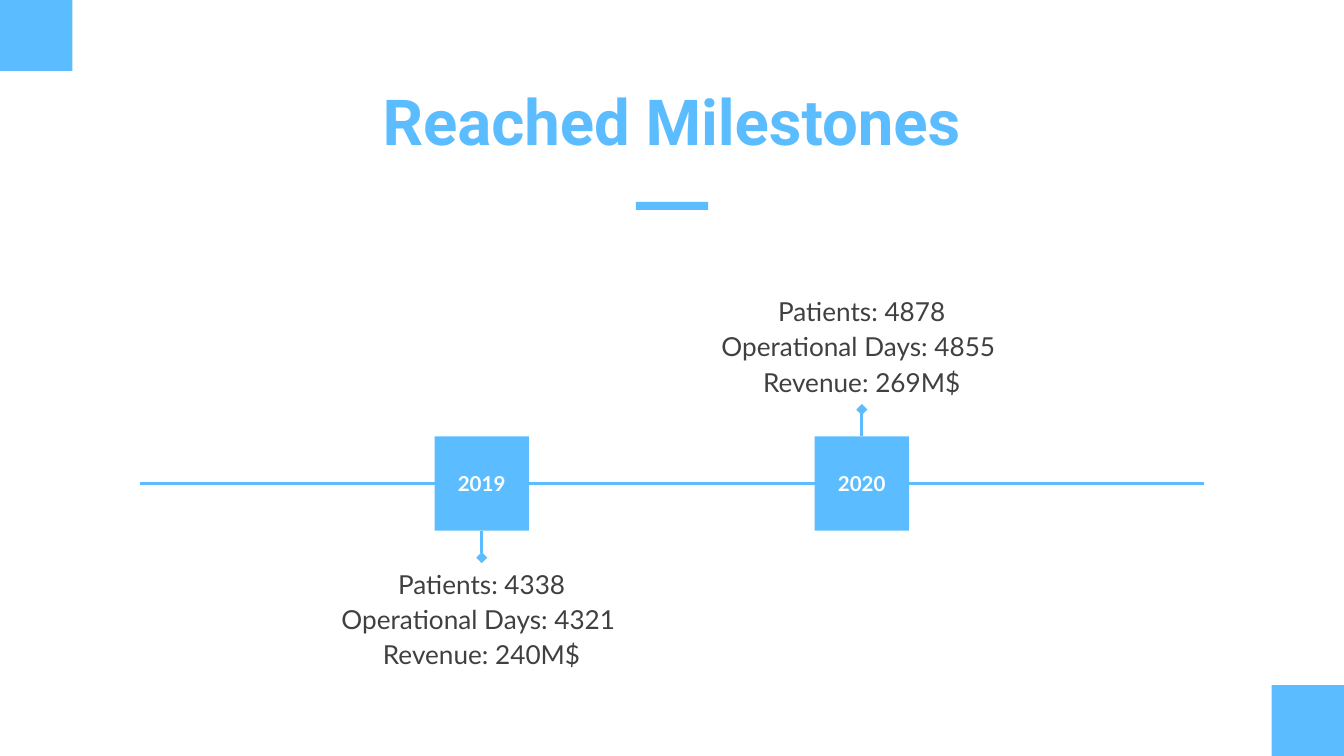
from dataclasses import dataclass

from lxml import etree
from pptx import Presentation
from pptx import util as u
from pptx.dml.color import RGBColor
from pptx.enum import shapes, text
from pptx.oxml import ns


@dataclass(frozen=True)
class Theme:
    blue: str = "5BBDFF"
    gray: str = "404040"
    white: str = "FFFFFF"
    head: str = "Roboto"
    body: str = "Lato"
    title: float = 34
    note: float = 14
    year: float = 11
    line: float = 1.5


class Deck:
    def __init__(self, theme, width, height):
        self.theme = theme
        self.prs = Presentation()
        self.prs.slide_width, self.prs.slide_height = u.Pt(width), u.Pt(height)
        self.slide = self.prs.slides.add_slide(self.prs.slide_layouts[6])

    def fill(self, frame, lines, size, font, color, bold=False, pad=0, gap=0,
             anchor=text.MSO_ANCHOR.TOP):
        sides = {f"margin_{side}": u.Pt(pad) for side in ("left", "top", "right", "bottom")}
        for key, value in {**sides, "word_wrap": True, "vertical_anchor": anchor}.items():
            setattr(frame, key, value)
        look = {"size": u.Pt(size), "name": font, "bold": bold}
        for i, line in enumerate(lines):
            para = frame.add_paragraph() if i else frame.paragraphs[0]
            para.alignment = text.PP_ALIGN.CENTER
            if i:
                para.space_before = u.Pt(gap)
            run = para.add_run()
            run.text = line
            for key, value in look.items():
                setattr(run.font, key, value)
            run.font.color.rgb = RGBColor.from_string(color)

    def label(self, box, lines, **look):
        shape = self.slide.shapes.add_textbox(*map(u.Pt, box))
        self.fill(shape.text_frame, lines, **look)

    def block(self, *box):
        shape = self.slide.shapes.add_shape(shapes.MSO_SHAPE.RECTANGLE, *map(u.Pt, box))
        shape.shadow.inherit = False
        shape.fill.solid()
        shape.fill.fore_color.rgb = RGBColor.from_string(self.theme.blue)
        shape.line.fill.background()
        return shape

    def rule(self, *ends, tail=None):
        line = self.slide.shapes.add_connector(shapes.MSO_CONNECTOR.STRAIGHT, *map(u.Pt, ends))
        line.line.color.rgb = RGBColor.from_string(self.theme.blue)
        line.line.width = u.Pt(self.theme.line)
        props = line.element.spPr
        if tail:
            etree.SubElement(props.find(ns.qn("a:ln")), ns.qn("a:tailEnd"), type=tail)
        etree.SubElement(props, ns.qn("a:effectLst"))


def main():
    wide, high = 720, 405
    theme = Theme()
    deck = Deck(theme, wide, high)

    # Corner squares
    side, tall = 38.8, 38
    deck.block(0, 0, side, tall)
    deck.block(wide - side, high - tall, side, tall)

    # Title and accent bar
    deck.label((66.3, 36.7, 587, 45.4), ["Reached Milestones"], size=theme.title,
               font=theme.head, color=theme.blue, bold=True, pad=7.2)
    deck.block(340.6, 108.2, 38.8, 4.3)

    # Time axis
    axis, edge = 259.1, 75
    deck.rule(edge, axis, wide - edge, axis)

    # Milestones: year square, stem, figures; way is 1 below the axis, -1 above
    half, stem, note = 25.25, 14.4, 158.4
    stones = [
        ("2019", 258.1, 1, 304.6, (4338, 4321, 240)),
        ("2020", 461.7, -1, 158.4, (4878, 4855, 269)),
    ]
    for year, mid, way, top, (sick, days, cash) in stones:
        square = deck.block(mid - half, axis - half, 2 * half, 2 * half)
        deck.fill(square.text_frame, [year], size=theme.year, font=theme.body,
                  color=theme.white, bold=True, anchor=text.MSO_ANCHOR.MIDDLE)
        start = axis + way * half
        deck.rule(mid, start, mid, start + way * stem, tail="diamond")
        lines = [f"Patients: {sick}", f"Operational Days: {days} ", f"Revenue: {cash}M$"]
        deck.label((mid - note / 2, top, note, 52.6), lines, size=theme.note,
                   font=theme.body, color=theme.gray, gap=2)

    deck.prs.save("out.pptx")


if __name__ == "__main__":
    main()
